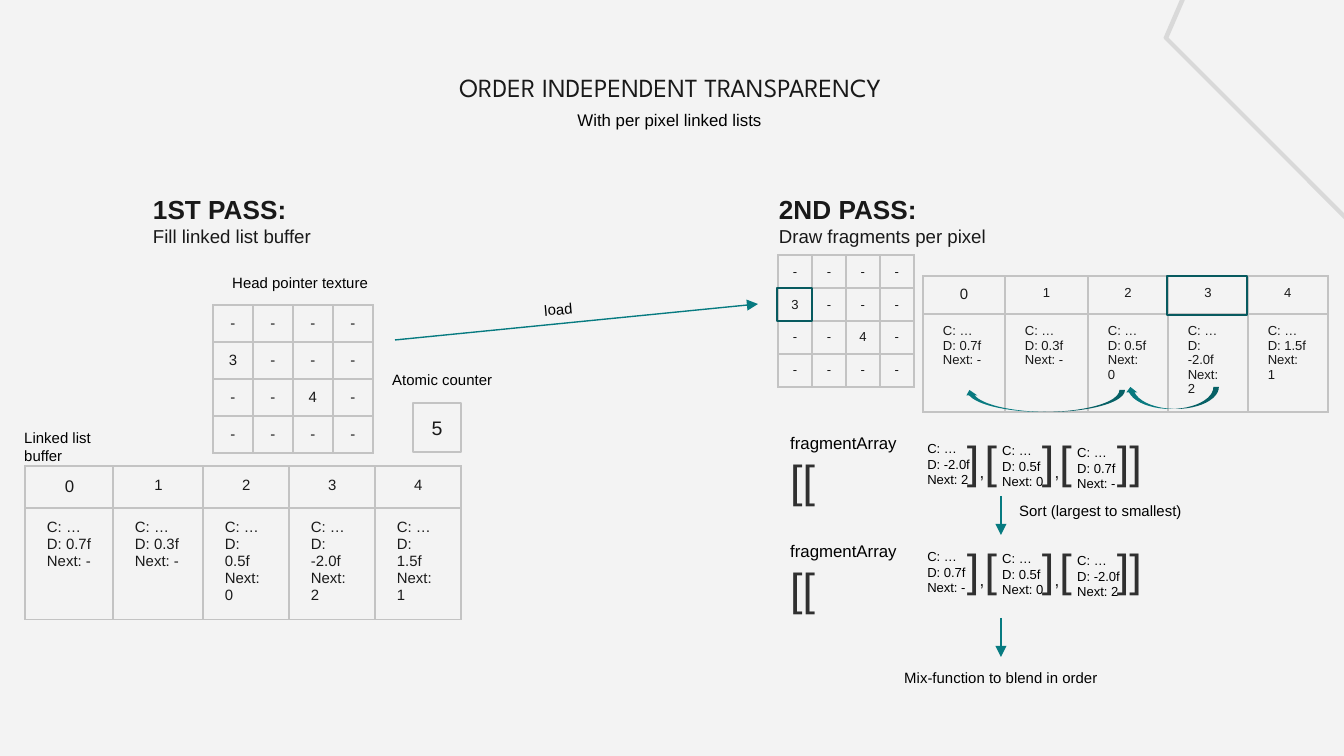
from lxml import etree
from pptx import Presentation
from pptx.dml.color import RGBColor
from pptx.enum.shapes import MSO_CONNECTOR, MSO_SHAPE
from pptx.enum.text import MSO_ANCHOR, MSO_AUTO_SIZE, PP_ALIGN
from pptx.oxml import parse_xml
from pptx.oxml.ns import nsdecls, qn
from pptx.util import Emu, Pt

LEFT, CENTER = PP_ALIGN.LEFT, PP_ALIGN.CENTER
TOP, MIDDLE = MSO_ANCHOR.TOP, MSO_ANCHOR.MIDDLE
NO_FIT = MSO_AUTO_SIZE.NONE
RECT, CURVE = MSO_SHAPE.RECTANGLE, MSO_SHAPE.CURVED_UP_ARROW
STRAIGHT = MSO_CONNECTOR.STRAIGHT
SCALE = 914400 / 134.4

PAPER, INK, BLACK, DARK = "F3F3F3", "191919", "000000", "303030"
GRID, PALE, TEAL, DEEP, BLADE = "C3C3C3", "D9D9D9", "067A80", "075A5F", "097A80"


def px(num):
    return Emu(round(num * SCALE))


def color(code):
    return RGBColor.from_string(code)


def write(frame, paras, size=8, ink=BLACK, font="Arial", bold=False,
          align=LEFT, anchor=TOP, pad=None):
    """Fill a frame; a paragraph is a string or a list of (text, changes) runs."""
    frame.word_wrap = True
    frame.vertical_anchor = anchor
    if pad:
        (frame.margin_left, frame.margin_top,
         frame.margin_right, frame.margin_bottom) = map(px, pad)
    if isinstance(paras, str):
        paras = [paras]
    for i, runs in enumerate(paras):
        para = frame.paragraphs[0] if i == 0 else frame.add_paragraph()
        para.alignment = align
        para.space_before = Pt(0)
        if isinstance(runs, str):
            runs = [(runs, {})]
        for text, change in runs:
            look = {"size": size, "ink": ink, "bold": bold, **change}
            run = para.add_run()
            run.text = text
            run.font.name = font
            run.font.size = Pt(look["size"])
            run.font.bold = look["bold"]
            run.font.color.rgb = color(look["ink"])


class Deck:
    """Holds the presentation and the slide being drawn."""

    def __init__(self, wide, high):
        self.file = Presentation()
        self.file.slide_width, self.file.slide_height = px(wide), px(high)
        self.slide = self.file.slides.add_slide(self.file.slide_layouts[0])
        self.slide.background.fill.solid()
        self.slide.background.fill.fore_color.rgb = color(PAPER)
        self.shapes = self.slide.shapes

    def holder(self, index, box, text, **look):
        item = self.slide.placeholders[index]
        item.left, item.top, item.width, item.height = map(px, box)
        write(item.text_frame, text, **look)
        item.text_frame.auto_size = NO_FIT

    def text(self, box, paras, turn=0, **look):
        item = self.shapes.add_textbox(*map(px, box))
        item.rotation = turn
        write(item.text_frame, paras, **look)

    def shape(self, kind, box, fill=None, line=None):
        item = self.shapes.add_shape(kind, *map(px, box))
        self.paint(item, fill, line, 1)
        return item

    def curve(self, box):
        item = self.shape(CURVE, box, fill=BLADE)
        item.element.spPr.find(qn("a:xfrm")).set("flipH", "1")

    def outline(self, points, tone, weight):
        start, *rest = [(px(x), px(y)) for x, y in points]
        build = self.shapes.build_freeform(*start)
        build.add_line_segments(rest, close=True)
        self.paint(build.convert_to_shape(), tone, tone, weight)

    def paint(self, item, fill, line, weight):
        item.shadow.inherit = False
        if fill:
            item.fill.solid()
            item.fill.fore_color.rgb = color(fill)
        else:
            item.fill.background()
        if line:
            item.line.color.rgb = color(line)
            item.line.width = Pt(weight)
        else:
            item.line.fill.background()

    def arrow(self, *ends):
        item = self.shapes.add_connector(STRAIGHT, *map(px, ends))
        item.line.color.rgb = color(TEAL)
        item.line.width = Pt(0.75)
        tip = etree.SubElement(item.line._get_or_add_ln(), qn("a:tailEnd"))
        tip.set("type", "triangle")
        etree.SubElement(item.element.spPr, qn("a:effectLst"))

    def table(self, spot, cols, rows, cells, style):
        """Draw cells; style(row, col) gives the text format of each one."""
        size = (sum(cols), sum(rows))
        frame = self.shapes.add_table(len(rows), len(cols), *map(px, spot + size))
        grid = frame.table
        grid.first_row = grid.horz_banding = False
        for col, wide in zip(grid.columns, cols):
            col.width = px(wide)
        for r, high in enumerate(rows):
            grid.rows[r].height = px(high)
            for c, text in enumerate(cells[r]):
                self.cell(grid.cell(r, c), text, style(r, c))

    def cell(self, cell, text, look):
        look = dict(look)
        anchor, pad = look.pop("anchor"), look.pop("pad")
        write(cell.text_frame, text, ink=INK, **look)
        cell.vertical_anchor = anchor
        (cell.margin_left, cell.margin_top,
         cell.margin_right, cell.margin_bottom) = map(px, pad)
        props = cell._tc.get_or_add_tcPr()
        for side in "LRTB":
            props.append(parse_xml(
                f'<a:ln{side} w="12700" {nsdecls("a")}><a:solidFill>'
                f'<a:srgbClr val="{GRID}"/></a:solidFill></a:ln{side}>'))
        cell.fill.solid()
        cell.fill.fore_color.rgb = color(PAPER)


def node(depth, link):
    return ["C: …", f"D: {depth}", f"Next: {link}"]


NODES = [node("0.7f", "-"), node("0.3f", "-"), node("0.5f", "0"),
         node("-2.0f", "2"), node("1.5f", "1")]
HEADS = ["----", "3---", "--4-", "----"]


def heads(deck, spot, wide, high, size):
    look = dict(size=size, align=CENTER, anchor=MIDDLE, pad=(5, 3, 5, 3))
    deck.table(spot, [wide] * 4, [high] * 4, HEADS, lambda r, c: look)


def buffer(deck, spot, cols, rows, size, pad):
    """Linked list: indices above nodes, the first index one point larger."""
    def style(r, c):
        return dict(size=size + (r == c == 0), anchor=TOP, pad=pad,
                    align=LEFT if r else CENTER)
    deck.table(spot, cols, rows, [list("01234"), NODES], style)


def array(deck, y, order):
    """Fragment array: its nodes with brackets set between them."""
    big, comma = dict(size=24, ink=DARK), dict(size=10, ink=DARK)
    gap = [(" ", {}), ("]", big), (",", comma), ("[", big), (" ", {})]
    end = [(" ", {}), ("]]", big), (" ", {})]
    start = [("fragmentArray ", {}), ("[[", big), (" ", {})]
    deck.text((777, y, 161, 67), [start], size=9)
    for i, (index, mark) in enumerate(zip(order, (gap, gap, end))):
        x = 914 + 75 * i
        deck.text((x, y + 8 + 2 * i, 74, 60), NODES[index], size=7)
        deck.text((x + 35, y + 1, 63, 67), [mark], size=9)


def main():
    deck = Deck(1344, 756)
    deck.outline([(1456, 327), (1167, 38), (1249, -152), (1247, -152),
                  (1165, 38), (1454, 327)], PALE, 1.5)
    deck.holder(0, (395, 59, 551, 57), "ORDER INDEPENDENT TRANSPARENCY", size=14,
                ink=INK, font="League Spartan", align=CENTER, anchor=MIDDLE,
                pad=(13, 13, 13, 13))
    deck.holder(1, (564, 103, 212, 34), "With per pixel linked lists", size=9)

    for x, head, note in ((140, "1ST PASS:", "Fill linked list buffer"),
                          (766, "2ND PASS:", "Draw fragments per pixel")):
        deck.text((x, 180, 438, 57),
                  [[(head, dict(size=14, bold=True))], note],
                  size=10, ink=INK, pad=(13, 13, 13, 13))

    count = deck.shape(RECT, (413, 403, 48, 49), fill=PAPER, line=GRID)
    write(count.text_frame, "5", size=10.5, ink=INK, align=CENTER, anchor=MIDDLE)
    buffer(deck, (25, 466), [88, 90, 86, 86, 86], [39, 78], 8, (22, 11, 21, 11))
    heads(deck, (213, 305), 40, 37, 8)
    heads(deck, (778, 255), 34, 33, 7)
    buffer(deck, (923, 276), [82, 83, 80, 80, 80], [38, 73], 7, (20, 10, 20, 10))

    for box, label in (((379, 364, 164, 32), "Atomic counter"),
                       ((11, 422, 128, 32), "Linked list buffer"),
                       ((219, 267, 164, 32), "Head pointer texture"),
                       ((1006, 495, 199, 32), "Sort (largest to smallest)"),
                       ((891, 662, 228, 32), "Mix-function to blend in order")):
        deck.text(box, label)
    deck.text((531, 293, 67, 32), "load", turn=355.2)

    deck.shape(RECT, (777, 288, 35, 33), line=DEEP)
    deck.shape(RECT, (1167, 276, 80, 39), line=DEEP)
    deck.curve((1125, 387, 94, 22))
    deck.curve((964, 390, 161, 22))

    array(deck, 426, (3, 2, 0))
    array(deck, 534, (0, 2, 3))
    deck.arrow(395, 340, 758, 304)
    for y in (496, 618):
        deck.arrow(1001, y, 1001, y + 39)
    deck.file.save("out.pptx")


if __name__ == "__main__":
    main()
